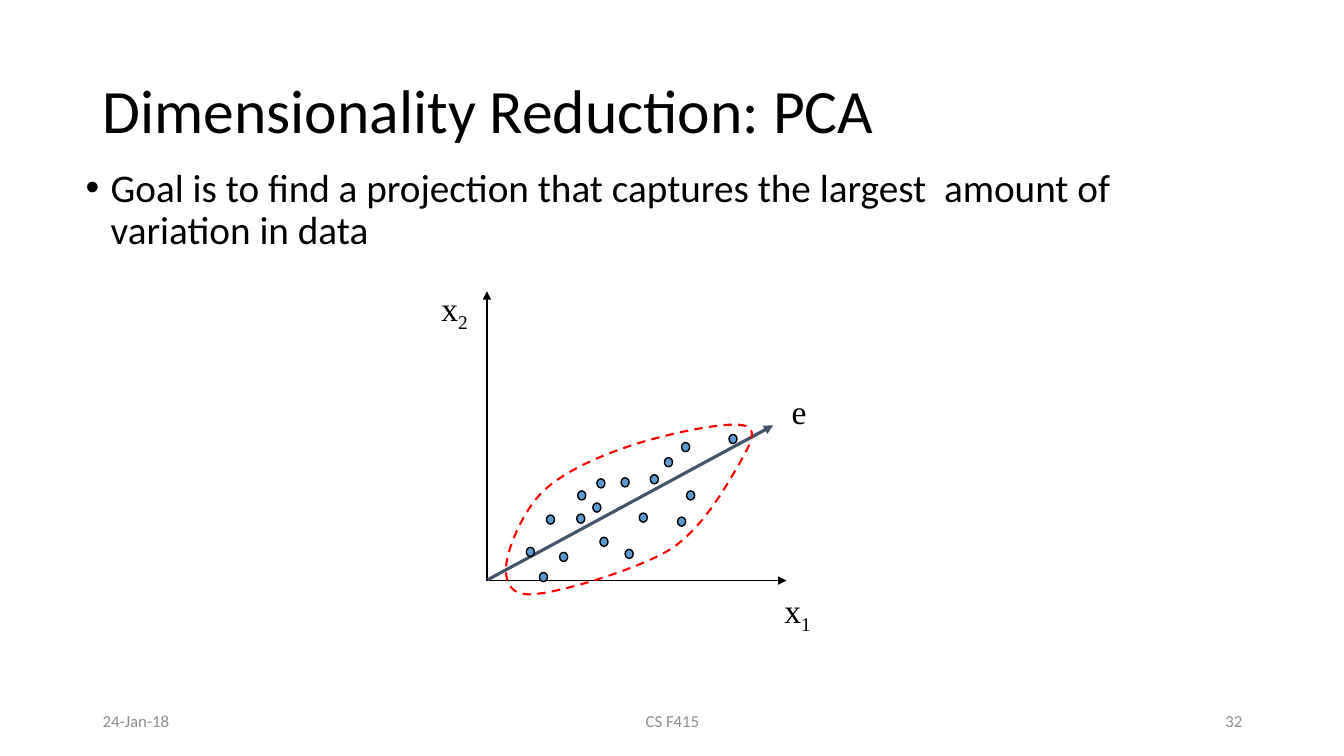
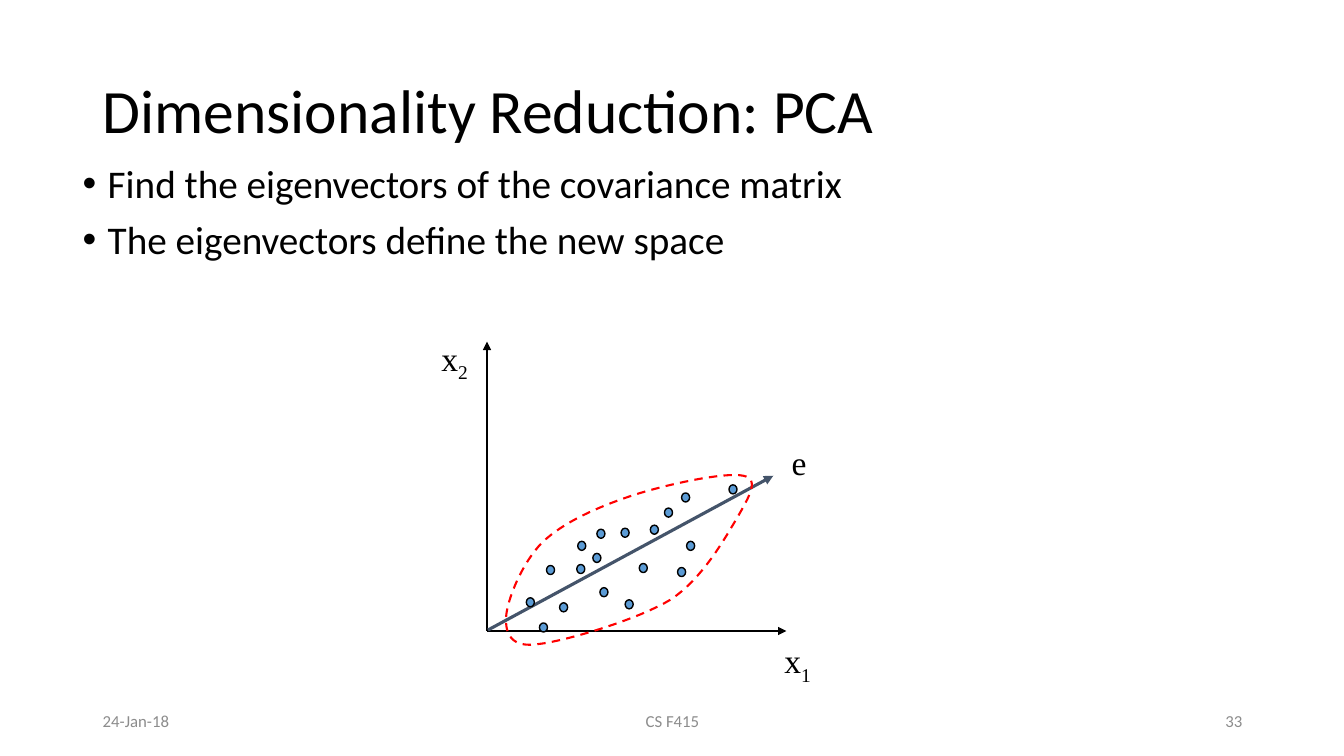
from dataclasses import dataclass
from typing import NamedTuple

from lxml.etree import SubElement
from pptx import Presentation
from pptx.dml.color import RGBColor
from pptx.enum.dml import MSO_LINE
from pptx.enum.shapes import MSO_CONNECTOR, MSO_SHAPE
from pptx.enum.text import MSO_ANCHOR, MSO_AUTO_SIZE, PP_ALIGN
from pptx.oxml.ns import qn
from pptx.util import Emu, Pt

PX = 9144  # 100 px to the inch
COLORS = {
    "text": "000000",
    "footer": "8C8C8C",
    "axis": "000000",
    "vector": "44546A",
    "dot": "5B9BD5",
    "cluster": "FF0000",
}
SANS, SERIF = "Calibri", "Times New Roman"
LEFT, CENTER, RIGHT = PP_ALIGN.LEFT, PP_ALIGN.CENTER, PP_ALIGN.RIGHT
TITLE = "Dimensionality Reduction: PCA"


class Box(NamedTuple):
    x: int
    y: int
    w: int
    h: int


class Arrow(NamedTuple):
    x1: int
    y1: int
    x2: int
    y2: int
    color: str
    width: float


class Label(NamedTuple):
    box: Box
    text: str
    sub: str


class Footer(NamedTuple):
    x: int
    w: int
    align: PP_ALIGN


@dataclass(frozen=True)
class PcaSlide:
    number: int
    body: Box
    bullets: tuple[str, ...]
    plot_drop: int  # how far the plot is moved down


SLIDES = (
    PcaSlide(32, Box(75, 162, 1167, 513),
             ("Goal is to find a projection that captures the largest  amount of variation in data",), 0),
    PcaSlide(33, Box(72, 158, 1169, 517),
             ("Find the eigenvectors of the covariance matrix",
              "The eigenvectors define the new space"), 50),
)
FOOTERS = (Footer(92, 300, LEFT), Footer(442, 450, CENTER), Footer(942, 300, RIGHT))

ARROWS = (
    Arrow(483, 576, 483, 289, "axis", 1),
    Arrow(483, 576, 780, 576, "axis", 1),
    Arrow(484, 575, 767, 422, "vector", 2.25),
)
LABELS = (
    Label(Box(427, 283, 48, 50), "x", "2"),
    Label(Box(767, 583, 48, 50), "x", "1"),
    Label(Box(775, 383, 35, 50), "e", ""),
)
DOT_W, DOT_H = 8, 9
DOTS = (
    (542, 511), (573, 487), (522, 543), (588, 499), (572, 510), (634, 509),
    (620, 545), (595, 533), (616, 474), (681, 487), (723, 431), (555, 548),
    (645, 471), (676, 439), (592, 475), (659, 454), (672, 513), (535, 568),
)
CLUSTER_START = (502, 562)
CLUSTER_CURVES = (  # two control points and the end point of each Bézier curve
    ((503, 545), (518, 508), (538, 488)),
    ((559, 468), (593, 453), (626, 442)),
    ((659, 431), (719, 418), (737, 422)),
    ((754, 425), (743, 443), (731, 464)),
    ((719, 484), (697, 524), (665, 545)),
    ((632, 565), (561, 586), (534, 589)),
    ((507, 593), (501, 579), (502, 562)),
)
CURVE_STEPS = 16


def px(n: float) -> Emu:
    return Emu(round(n * PX))


def rgb(name: str) -> RGBColor:
    return RGBColor.from_string(COLORS[name])


def add_bullet(p) -> None:
    pPr = p._p.get_or_add_pPr()
    pPr.set("marL", str(px(25)))
    pPr.set("indent", str(px(-25)))
    SubElement(pPr, qn("a:buFont")).set("typeface", "Arial")
    SubElement(pPr, qn("a:buChar")).set("char", "•")


def add_text(s, box: Box, *paragraphs: str, size: float, font: str = SANS,
             color: str = "text", align: PP_ALIGN = LEFT,
             anchor: MSO_ANCHOR = MSO_ANCHOR.MIDDLE, spacing: float = 1.0,
             gap: float = 0, bullet: bool = False, wrap: bool = True,
             sub: str = "") -> None:
    """Add a text box; sub is a subscript that ends each paragraph."""
    tf = s.shapes.add_textbox(*map(px, box)).text_frame
    tf.word_wrap = wrap
    tf.auto_size = MSO_AUTO_SIZE.NONE if wrap else MSO_AUTO_SIZE.SHAPE_TO_FIT_TEXT
    tf.vertical_anchor = anchor
    for i, text in enumerate(paragraphs):
        p = tf.add_paragraph() if i else tf.paragraphs[0]
        if bullet:
            add_bullet(p)
        p.alignment = align
        p.line_spacing = spacing
        if i:
            p.space_before = Pt(gap)
        for part, baseline in ((text, 0), (sub, -25000)):
            if not part:
                continue
            r = p.add_run()
            r.text = part
            r.font.name, r.font.size = font, Pt(size)
            r.font.color.rgb = rgb(color)
            if baseline:
                r._r.get_or_add_rPr().set("baseline", str(baseline))


def add_arrow(s, arrow: Arrow, dy: int) -> None:
    line = s.shapes.add_connector(
        MSO_CONNECTOR.STRAIGHT, px(arrow.x1), px(arrow.y1 + dy),
        px(arrow.x2), px(arrow.y2 + dy))
    line.line.color.rgb = rgb(arrow.color)
    line.line.width = Pt(arrow.width)
    SubElement(line.line._get_or_add_ln(), qn("a:tailEnd")).set("type", "triangle")
    SubElement(line._element.spPr, qn("a:effectLst"))


def add_dot(s, x: int, y: int) -> None:
    sp = s.shapes.add_shape(MSO_SHAPE.OVAL, *map(px, Box(x, y, DOT_W, DOT_H)))
    sp.shadow.inherit = False
    sp.fill.solid()
    sp.fill.fore_color.rgb = rgb("dot")
    sp.line.color.rgb = rgb("axis")
    sp.line.width = Pt(1)


def bezier(p0, p1, p2, p3, t: float) -> tuple[float, ...]:
    u = 1 - t
    return tuple(u**3 * a + 3 * u * u * t * b + 3 * u * t * t * c + t**3 * d
                 for a, b, c, d in zip(p0, p1, p2, p3))


def add_cluster(s, dy: int) -> None:
    """Draw the dashed outline around the dots."""
    points = [CLUSTER_START]
    for curve in CLUSTER_CURVES:
        start = points[-1]
        points += [bezier(start, *curve, k / CURVE_STEPS)
                   for k in range(1, CURVE_STEPS + 1)]
    vertices = [(px(x), px(y + dy)) for x, y in points]
    builder = s.shapes.build_freeform(*vertices[0])
    builder.add_line_segments(vertices[1:], close=True)
    sp = builder.convert_to_shape()
    sp.shadow.inherit = False
    sp.fill.background()
    sp.line.color.rgb = rgb("cluster")
    sp.line.width = Pt(1.5)
    sp.line.dash_style = MSO_LINE.DASH


def add_plot(s, dy: int) -> None:
    for arrow in ARROWS:
        add_arrow(s, arrow, dy)
    for x, y in DOTS:
        add_dot(s, x, y + dy)
    add_cluster(s, dy)
    for box, text, sub in LABELS:
        add_text(s, box._replace(y=box.y + dy), text, sub=sub, size=24,
                 font=SERIF, align=CENTER, wrap=False)


def add_slide(prs, content: PcaSlide) -> None:
    s = prs.slides.add_slide(prs.slide_layouts[6])
    add_text(s, Box(92, 40, 1150, 145), TITLE, size=44, spacing=0.9)
    add_text(s, content.body, *content.bullets, size=28, spacing=0.9, gap=10,
             bullet=True, anchor=MSO_ANCHOR.TOP)
    add_plot(s, content.plot_drop)
    for footer, text in zip(FOOTERS, ("24-Jan-18", "CS F415", str(content.number))):
        add_text(s, Box(footer.x, 695, footer.w, 40), text, size=12,
                 color="footer", align=footer.align)


def main() -> None:
    prs = Presentation()
    prs.slide_width, prs.slide_height = px(1333), px(750)
    for content in SLIDES:
        add_slide(prs, content)
    prs.save("out.pptx")


if __name__ == "__main__":
    main()
